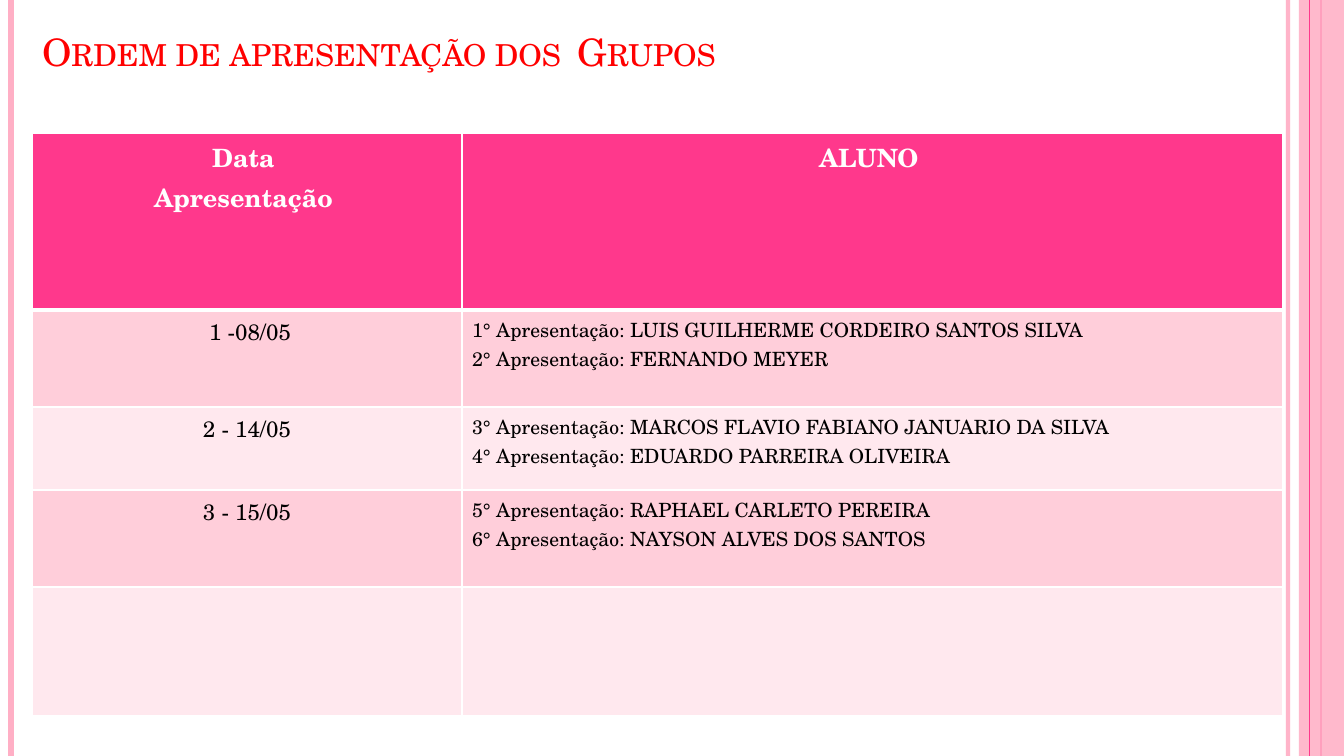
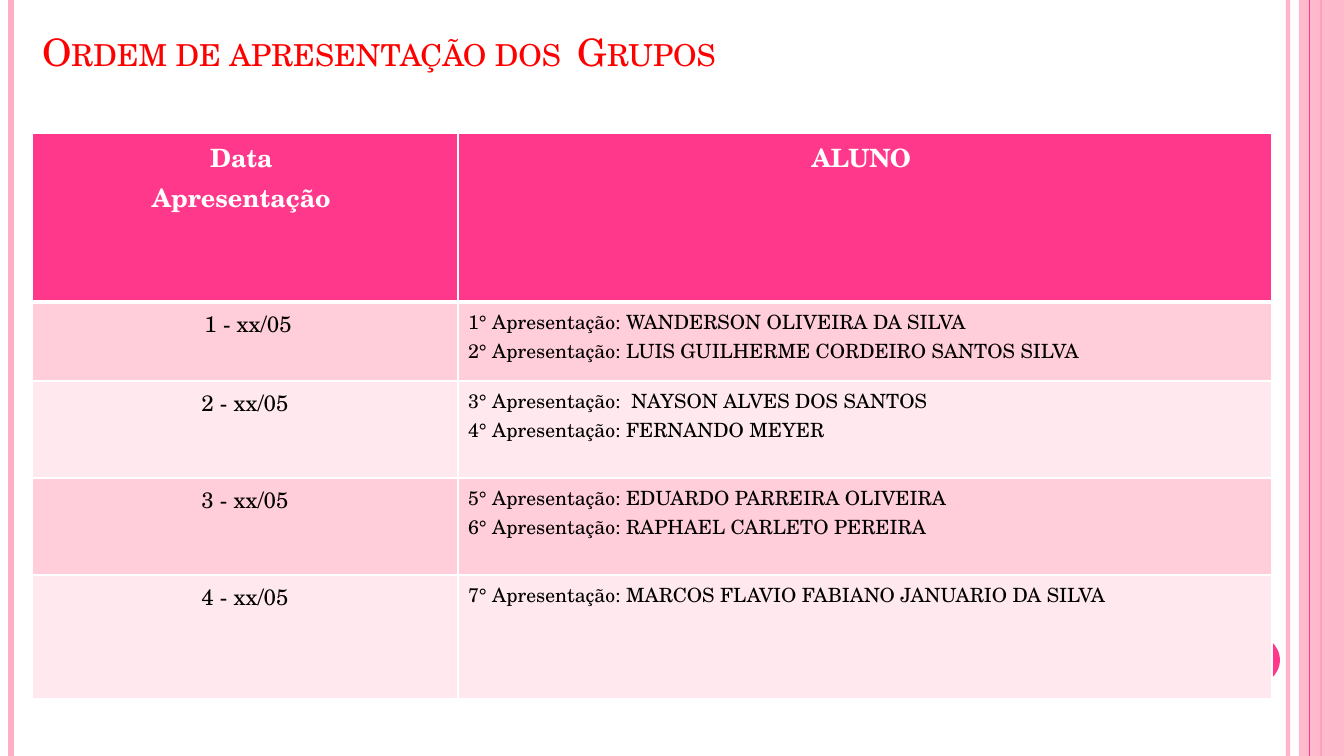
from dataclasses import dataclass

from lxml.etree import SubElement
from pptx import Presentation
from pptx.dml.color import RGBColor
from pptx.enum.shapes import MSO_CONNECTOR as Connector, MSO_SHAPE as Preset
from pptx.enum.text import MSO_ANCHOR as Anchor, MSO_AUTO_SIZE as AutoSize, PP_ALIGN as Align
from pptx.oxml.ns import qn
from pptx.util import Emu, Pt

WIDTH, HEIGHT = 1344, 756
EMU_PER_PIXEL = 914400 / 100.8


@dataclass(frozen=True)
class Theme:
    font: str = "TeX Gyre Schola"
    title: str = "FF0000"
    accent: str = "FF388C"
    band: str = "FFAFC5"
    row_tints: tuple = ("FFCEDA", "FFE8EE")
    light: str = "FFFFFF"
    dark: str = "000000"
    title_size: int = 27
    header_size: int = 18
    date_size: int = 16
    student_size: int = 14
    grid: int = 1
    header_rule: int = 3


def px(value):
    return Emu(round(value * EMU_PER_PIXEL))


def color(value):
    return RGBColor.from_string(value)


def set_alpha(fill, percent):
    for tone in fill.iter(qn("a:srgbClr")):
        SubElement(tone, qn("a:alpha"), val=str(percent * 1000))


class Builder:
    def __init__(self, theme):
        self.theme = theme
        self.deck = Presentation()
        self.deck.slide_width, self.deck.slide_height = px(WIDTH), px(HEIGHT)
        self.page = None

    def new_page(self):
        self.page = self.deck.slides.add_slide(self.deck.slide_layouts[5])
        self.page.background.fill.solid()
        self.page.background.fill.fore_color.rgb = color(self.theme.light)

    def rule(self, x, tone, weight, alpha=100):
        line = self.page.shapes.add_connector(Connector.STRAIGHT, px(x), 0, px(x), px(HEIGHT))
        line.line.color.rgb = color(tone)
        line.line.width = Pt(weight)
        properties = line._element.spPr
        if alpha < 100:
            set_alpha(properties, alpha)
        SubElement(properties, qn("a:effectLst"))

    def shape(self, preset, left, top, width, height, tone, alpha=100):
        shape = self.page.shapes.add_shape(preset, px(left), px(top), px(width), px(height))
        shape.shadow.inherit = False
        shape.fill.solid()
        shape.fill.fore_color.rgb = color(tone)
        shape.line.fill.background()
        if alpha < 100:
            set_alpha(shape._element.spPr, alpha)

    def side_bands(self):
        theme = self.theme
        self.rule(1288, theme.band, 3, 93)
        self.rule(11, theme.band, 4.5)
        self.rule(1321, theme.accent, 1.5)
        self.shape(Preset.RECTANGLE, 1299, 0, 45, HEIGHT, theme.band, 87)
        self.rule(1310, theme.accent, 0.75)

    def badge(self):
        self.shape(Preset.OVAL, 1199, 630, 81, 60, self.theme.accent)

    def span(self, para, text, size, tone, bold=False):
        span = para.add_run()
        span.text = text
        span.font.name = self.theme.font
        span.font.size = Pt(size)
        span.font.bold = bold
        span.font.color.rgb = color(tone)
        return span

    def title(self, text):
        box = self.page.shapes.title
        box.left, box.top, box.width, box.height = px(32), px(20), px(849), px(59)
        frame = box.text_frame
        frame.word_wrap = True
        frame.auto_size = AutoSize.NONE
        frame.vertical_anchor = Anchor.BOTTOM
        para = frame.paragraphs[0]
        para.alignment = Align.LEFT
        span = self.span(para, text, self.theme.title_size, self.theme.title)
        span.font._element.set("cap", "small")

    def borders(self, cell, top, bottom):
        grid = self.theme.grid
        for side, weight in zip("LRTB", (grid, grid, top, bottom)):
            edge = SubElement(cell._tc.get_or_add_tcPr(), qn(f"a:ln{side}"), w=str(Pt(weight)))
            SubElement(SubElement(edge, qn("a:solidFill")), qn("a:srgbClr"), val=self.theme.light)

    def cell(self, cell, lines, size, tone, fill, align, bold=False, gap=0):
        cell.fill.solid()
        cell.fill.fore_color.rgb = color(fill)
        frame = cell.text_frame
        for number, text in enumerate(lines):
            para = frame.add_paragraph() if number else frame.paragraphs[0]
            para.alignment = align
            para.space_before = Pt(gap if number else 0)
            self.span(para, text, size, tone, bold)

    def schedule(self, widths, heights, sessions):
        theme = self.theme
        table = self.page.shapes.add_table(
            len(heights), len(widths), px(32), px(133), px(sum(widths)), px(sum(heights))
        ).table
        table.first_row = table.horz_banding = False
        for column, width in zip(table.columns, widths):
            column.width = px(width)
        for number, (row, height) in enumerate(zip(table.rows, heights)):
            row.height = px(height)
            for cell in row.cells:
                self.borders(
                    cell,
                    theme.header_rule if number == 1 else theme.grid,
                    theme.header_rule if number == 0 else theme.grid,
                )
        for column, lines in enumerate((["Data ", "Apresentação "], ["ALUNO "])):
            self.cell(table.cell(0, column), lines, theme.header_size, theme.light,
                      theme.accent, Align.CENTER, True, 1)
        order = 0
        for number, (date, students) in enumerate(sessions, 1):
            tint = theme.row_tints[(number - 1) % 2]
            lines = [f"{order + place}° Apresentação: {name}" for place, name in enumerate(students, 1)]
            order += len(students)
            self.cell(table.cell(number, 0), [date] if date else [], theme.date_size,
                      theme.dark, tint, Align.CENTER)
            self.cell(table.cell(number, 1), lines, theme.student_size,
                      theme.dark, tint, Align.LEFT)


LUIS = "LUIS GUILHERME CORDEIRO SANTOS SILVA"
FERNANDO = "FERNANDO MEYER"
MARCOS = "MARCOS FLAVIO FABIANO JANUARIO DA SILVA"
EDUARDO = "EDUARDO PARREIRA OLIVEIRA"
RAPHAEL = "RAPHAEL CARLETO PEREIRA"
NAYSON = "NAYSON ALVES DOS SANTOS"
WANDERSON = "WANDERSON OLIVEIRA DA SILVA"

PAGES = [
    dict(
        badge=False,
        widths=(430, 821),
        heights=(177, 97, 83, 97, 129),
        sessions=[
            (" 1 -08/05", [LUIS, FERNANDO]),
            ("2 - 14/05", [MARCOS, EDUARDO]),
            ("3 - 15/05", [RAPHAEL, NAYSON]),
            ("", []),
        ],
    ),
    dict(
        badge=True,
        widths=(426, 814),
        heights=(169, 79, 97, 97, 124),
        sessions=[
            (" 1 - xx/05", [WANDERSON, LUIS]),
            ("2 - xx/05", [" " + NAYSON, FERNANDO]),
            ("3 - xx/05", [EDUARDO, RAPHAEL]),
            ("4 - xx/05", [MARCOS]),
        ],
    ),
]

builder = Builder(Theme())
for content in PAGES:
    builder.new_page()
    builder.side_bands()
    if content["badge"]:
        builder.badge()
    builder.title("Ordem de apresentação dos  Grupos")
    builder.schedule(content["widths"], content["heights"], content["sessions"])
builder.deck.save("out.pptx")
